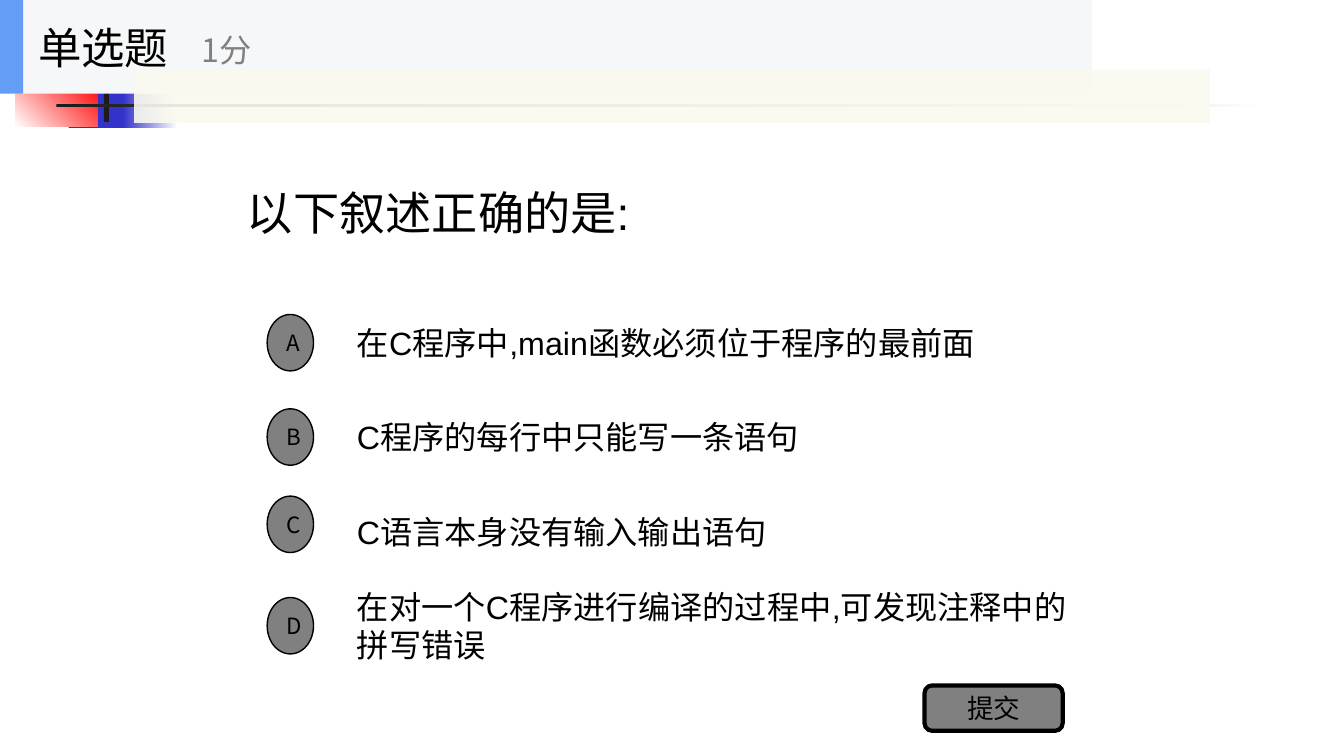
from pptx import Presentation
from pptx.util import Inches, Pt
from pptx.dml.color import RGBColor
from pptx.enum.shapes import MSO_SHAPE as Shape
from pptx.enum.text import MSO_ANCHOR as Anchor, PP_ALIGN as Align
from pptx.oxml.ns import qn
from lxml.etree import SubElement

SANS = "Noto Sans CJK SC"
PAD = {"margin_left": 0.12, "margin_top": 0.06,
       "margin_right": 0.12, "margin_bottom": 0.06}
OPTIONS = [
    ("A", "在C程序中,main函数必须位于程序的最前面"),
    ("B", "C程序的每行中只能写一条语句"),
    ("C", "C语言本身没有输入输出语句"),
    ("D", "在对一个C程序进行编译的过程中,可发现注释中的拼写错误"),
]


def rgb(code):
    return RGBColor.from_string(code)


def write(item, words, size, face="Arial", color="000000",
          align=Align.LEFT, wrap=True, pad=None):
    frame = item.text_frame
    frame.word_wrap = wrap
    frame.vertical_anchor = Anchor.MIDDLE
    for name, gap in (pad or {}).items():
        setattr(frame, name, Inches(gap))
    par = frame.paragraphs[0]
    par.alignment = align
    run = par.add_run()
    run.text = words
    for name, value in {"name": face, "size": Pt(size)}.items():
        setattr(run.font, name, value)
    run.font.color.rgb = rgb(color)
    SubElement(run.font._element, qn("a:ea"), typeface=SANS)


def label(slide, box, words, size, **style):
    item = slide.shapes.add_textbox(*map(Inches, box))
    write(item, words, size, **style)


def block(slide, box, fill, kind=Shape.RECTANGLE, edge=None):
    item = slide.shapes.add_shape(kind, *map(Inches, box))
    item.shadow.inherit = False
    item.fill.solid()
    item.fill.fore_color.rgb = rgb(fill)
    if edge:
        item.line.color.rgb = rgb("000000")
        item.line.width = Pt(edge)
    else:
        item.line.fill.background()
    return item


def fade(slide, box, start, end, turn=0):
    item = block(slide, box, start)
    item.fill.gradient()
    item.fill.gradient_angle = turn
    for stop, code in zip(item.fill.gradient_stops, (start, end)):
        stop.color.rgb = rgb(code)


def button(slide, box, words, size, kind, edge):
    item = block(slide, box, "808080", kind, edge)
    write(item, words, size, face=SANS, align=Align.CENTER, pad=PAD)


# Coloured squares with crossing rules
def motif(slide, left, top):
    block(slide, (left + 0.53, top + 0.69, 0.62, 0.52), "3333CC")
    fade(slide, (left + 1.07, top + 0.69, 0.54, 0.52), "3333CC", "FFFFFF")
    fade(slide, (left, top + 0.74, 0.82, 0.46), "FFFFFF", "FF0000", 45)
    block(slide, (left + 0.88, top, 0.05, 1.15), "1C1C1C")
    fade(slide, (left + 0.41, top + 0.97, 12, 0.03), "1C1C1C", "FFFFFF")


# Question, options and submit button
def quiz(slide, left, top, width):
    label(slide, (left, top, width, 2.34), "以下叙述正确的是:", 33, pad=PAD)
    for row, (key, words) in enumerate(OPTIONS):
        y = top + 2.12 + row * 0.936
        label(slide, (left + 1.09, y, width - 1.09, 0.7), words, 23, pad=PAD)
        lift = 0.07 if key == "C" else 0
        button(slide, (left + 0.32, y + 0.07 - lift, 0.46, 0.56),
               key, 16, Shape.OVAL, 1)
    button(slide, (left + 6.84, top + 5.87, 1.37, 0.45),
           "提交", 19, Shape.ROUNDED_RECTANGLE, 3)


# Question type and score
def header(slide, left, top, width, height):
    block(slide, (left, top, width, height), "F6F7F8")
    block(slide, (left, top, 0.23, height), "639EF4")
    label(slide, (left + 0.28, top, 2.26, height), "单选题", 31,
          face=SANS, wrap=False)
    label(slide, (left + 1.9, top + 0.12, 2.71, 0.74), "1分", 23,
          face=SANS, color="808080", wrap=False)


# Translucent strip over the rule
def veil(slide, box):
    item = block(slide, box, "FBFAEF")
    tint = item.fill._xPr.find(qn("a:solidFill"))[0]
    SubElement(tint, qn("a:alpha"), val="90000")


def main():
    deck = Presentation()
    deck.slide_width, deck.slide_height = Inches(13.33), Inches(7.5)
    slide = deck.slides.add_slide(deck.slide_layouts[6])
    motif(slide, 0.15, 0.06)
    quiz(slide, 2.33, 0.93, 8.67)
    header(slide, 0, 0, 10.83, 0.93)
    veil(slide, (1.33, 0.69, 10.67, 0.53))
    deck.save("out.pptx")


if __name__ == "__main__":
    main()
